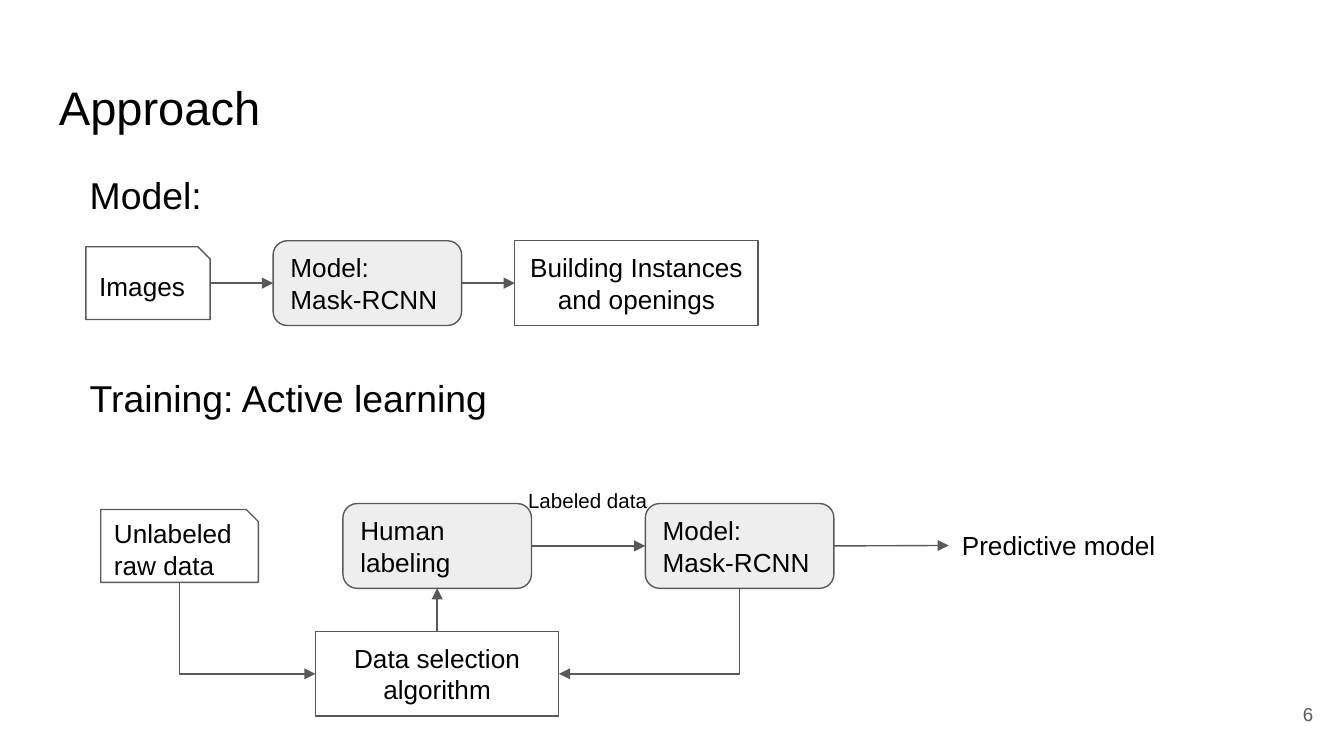
from dataclasses import dataclass
from lxml.etree import SubElement
from pptx import Presentation
from pptx.dml.color import RGBColor
from pptx.enum.shapes import MSO_CONNECTOR, MSO_SHAPE
from pptx.enum.text import MSO_ANCHOR, PP_ALIGN
from pptx.oxml.ns import qn
from pptx.util import Pt


@dataclass(frozen=True)
class Theme:
    font: str = "Arial"
    ink: RGBColor = RGBColor(0, 0, 0)
    line: RGBColor = RGBColor(0x59, 0x59, 0x59)
    paper: RGBColor = RGBColor(0xFF, 0xFF, 0xFF)
    shade: RGBColor = RGBColor(0xEE, 0xEE, 0xEE)
    title: float = 25.2
    heading: float = 20
    body: float = 14
    label: float = 11
    number: float = 10
    stroke: float = 0.75


T = Theme()
TOP, LEFT, BOTTOM, RIGHT = range(4)
INSET = 7.2
DATA = (MSO_SHAPE.SNIP_1_RECTANGLE, T.paper, PP_ALIGN.LEFT, 39)
STEP = (MSO_SHAPE.FLOWCHART_ALTERNATE_PROCESS, T.shade, PP_ALIGN.LEFT, 45.4)
RESULT = (MSO_SHAPE.RECTANGLE, T.paper, PP_ALIGN.CENTER, 45.4)
STEP_W, RESULT_W = 101, 130.4


def write(sp, text, size, color=T.ink, align=PP_ALIGN.LEFT,
          anchor=MSO_ANCHOR.TOP, wrap=True):
    tf = sp.text_frame
    tf.text = text
    frame = {"word_wrap": wrap, "vertical_anchor": anchor}
    for side in ("left", "top", "right", "bottom"):
        frame[f"margin_{side}"] = Pt(INSET if wrap or side in ("left", "right") else 3.6)
    for name, value in frame.items():
        setattr(tf, name, value)
    for p in tf.paragraphs:
        p.alignment = align
        for name, value in {"name": T.font, "size": Pt(size)}.items():
            setattr(p.font, name, value)
        p.font.color.rgb = color


def add_text(s, box, text, size, **style):
    sp = s.shapes.add_textbox(*map(Pt, box))
    write(sp, text, size, **style)
    return sp


def add_node(s, kind, cx, cy, w, text):
    shape, fill, align, h = kind
    sp = s.shapes.add_shape(shape, Pt(cx - w / 2), Pt(cy - h / 2), Pt(w), Pt(h))
    sp.shadow.inherit = False
    sp.fill.solid()
    sp.fill.fore_color.rgb = fill
    sp.line.color.rgb = T.line
    sp.line.width = Pt(T.stroke)
    write(sp, text, T.body, align=align, anchor=MSO_ANCHOR.MIDDLE)
    return sp


def side_point(sp, side):
    fx, fy = {TOP: (1, 0), LEFT: (0, 1), BOTTOM: (1, 2), RIGHT: (2, 1)}[side]
    return sp.left + sp.width * fx // 2, sp.top + sp.height * fy // 2


def add_arrow(s, a, a_side, b, b_side, join_start=True, bent=False):
    start, end = side_point(a, a_side), side_point(b, b_side)
    kind = MSO_CONNECTOR.ELBOW if bent else MSO_CONNECTOR.STRAIGHT
    cx = s.shapes.add_connector(kind, *start, *end)
    if join_start:
        cx.begin_connect(a, a_side)
    cx.end_connect(b, b_side)
    if bent:
        bend_down(cx, start, end)
    cx.line.color.rgb = T.line
    cx.line.width = Pt(T.stroke)
    SubElement(cx.line._get_or_add_ln(), qn("a:tailEnd"), type="triangle")
    SubElement(cx._element.spPr, qn("a:effectLst"))


def bend_down(cx, start, end):
    (x1, y1), (x2, y2) = start, end
    w, h = abs(y2 - y1), abs(x2 - x1)
    place = {"left": (x1 + x2 - w) // 2, "top": (y1 + y2 - h) // 2,
             "width": w, "height": h}
    for name, value in place.items():
        setattr(cx, name, value)
    xfrm = cx._element.spPr.find(qn("a:xfrm"))
    rightward = x2 > x1
    xfrm.set("rot", str((270 if rightward else 90) * 60000))
    xfrm.set("flipH", "1" if rightward else "0")
    xfrm.set("flipV", "0")
    cx._element.spPr.find(qn("a:prstGeom")).set("prst", "bentConnector2")


def add_model(s, x, y, w):
    add_text(s, (x, y, w, 39), "Model:", T.heading)
    mid = y + 66.7
    images = add_node(s, DATA, x + 38.3, mid, 66.5, "Images")
    model = add_node(s, STEP, x + 155.8, mid, STEP_W, "Model:\nMask-RCNN")
    openings = add_node(s, RESULT, x + 300, mid, RESULT_W,
                        "Building Instances and openings")
    add_arrow(s, images, RIGHT, model, LEFT, join_start=False)
    add_arrow(s, model, RIGHT, openings, LEFT)


def add_training(s, x, y, w):
    add_text(s, (x, y, w, 39), "Training: Active learning", T.heading)
    mid = y + 98.8
    raw = add_node(s, DATA, x + 55.2, mid, 84.5, "Unlabeled raw data")
    selection = add_node(s, RESULT, x + 193.2, mid + 68.5, RESULT_W,
                         "Data selection algorithm")
    human = add_node(s, STEP, x + 193.2, mid, STEP_W, "Human labeling")
    model = add_node(s, STEP, x + 355.2, mid, STEP_W, "Model:\nMask-RCNN")
    add_text(s, (x + 234.8, y + 64, 78.5, 21), "Labeled data", T.label, wrap=False)
    result = add_text(s, (x + 467.2, mid - 12.5, 118.8, 24.5), "Predictive model",
                      T.body, wrap=False)
    add_arrow(s, raw, BOTTOM, selection, LEFT, join_start=False, bent=True)
    add_arrow(s, selection, TOP, human, BOTTOM)
    add_arrow(s, model, BOTTOM, selection, RIGHT, bent=True)
    add_arrow(s, human, RIGHT, model, LEFT)
    add_arrow(s, model, RIGHT, result, LEFT)


def add_frame(s, x, y, w, h):
    add_text(s, (x + 24.5, y + 35, w - 49, 45), "Approach", T.title)
    add_text(s, (w - 52.6, h - 37.8, 43.2, 31), "6", T.number, color=T.line,
             align=PP_ALIGN.RIGHT, anchor=MSO_ANCHOR.MIDDLE)


def main():
    prs = Presentation()
    prs.slide_width, prs.slide_height = Pt(720), Pt(405)
    s = prs.slides.add_slide(prs.slide_layouts[6])
    add_frame(s, 0, 0, 720, 405)
    add_model(s, 41, 85, 484)
    add_training(s, 41, 193.7, 484)
    prs.save("out.pptx")


if __name__ == "__main__":
    main()
